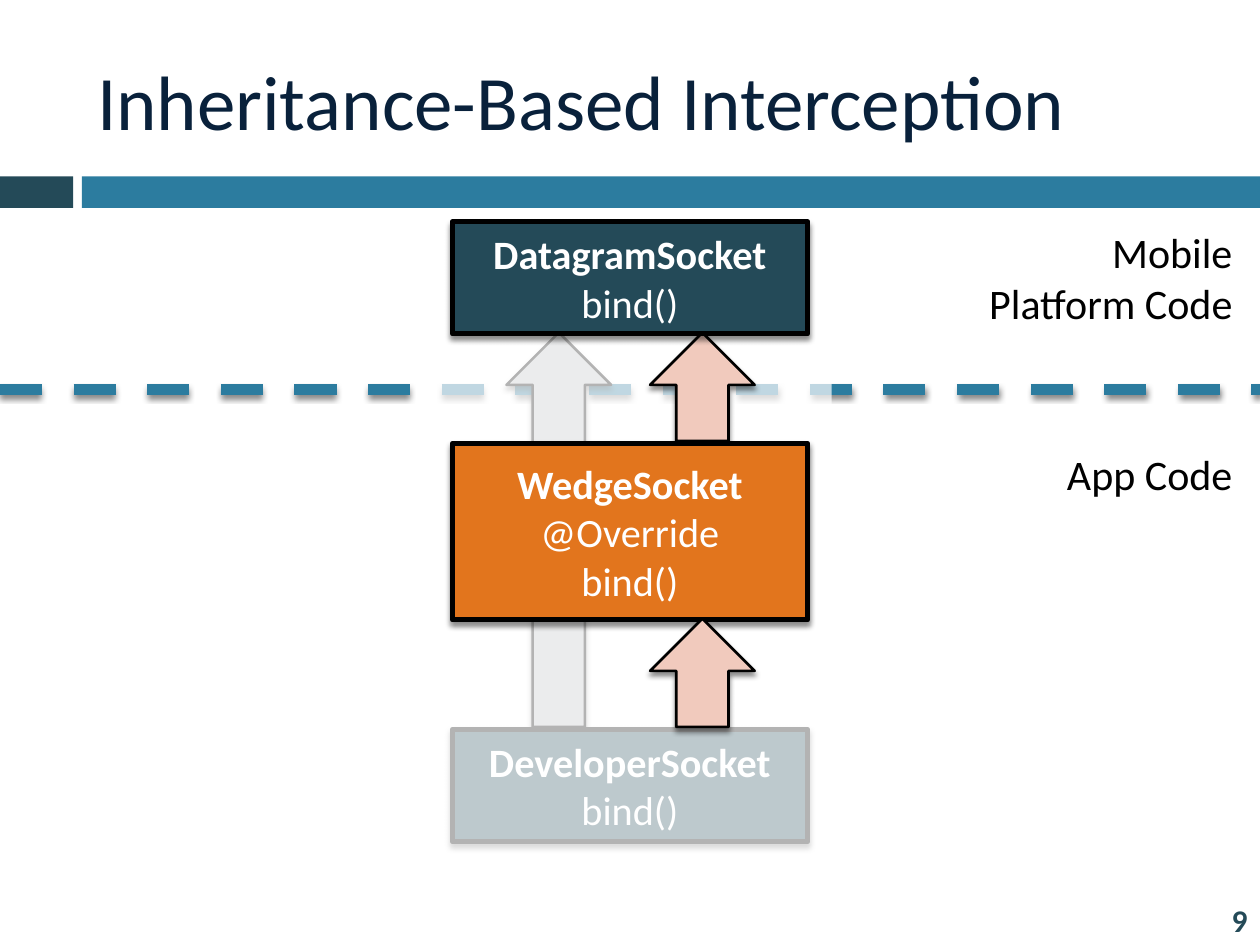
from lxml import etree
from pptx import Presentation
from pptx import util as u
from pptx.dml.color import RGBColor
from pptx.enum import dml, shapes, text
from pptx.oxml.ns import qn

COLORS = {
    "navy": "09213B",
    "slate": "244A58",
    "blue": "2C7C9F",
    "orange": "E2751D",
    "pink": "F1CABD",
    "gray": "BEC1C4",
    "white": "FFFFFF",
    "black": "000000",
}
FONT = "Calibri"
BOX_LEFT, BOX_WIDTH = 3.59, 2.82
ARROW_WIDTH = 0.83


def rgb(name):
    return RGBColor.from_string(COLORS[name])


def place(shape, left, top, width, height):
    shape.left, shape.top = u.Inches(left), u.Inches(top)
    shape.width, shape.height = u.Inches(width), u.Inches(height)


def add_alpha(color_element, percent):
    etree.SubElement(color_element, qn("a:alpha"), val=str(percent * 1000))


def add_shadow(shape):
    """Give a shape or connector a soft shadow; call it after the line is set."""
    effects = etree.SubElement(shape.element.spPr, qn("a:effectLst"))
    shadow = etree.SubElement(
        effects, qn("a:outerShdw"), blurRad=str(u.Pt(3)), dist=str(u.Pt(2.4)),
        dir="5400000", rotWithShape="0")
    color = etree.SubElement(shadow, qn("a:srgbClr"), val=COLORS["black"])
    add_alpha(color, 45)


def write(shape, lines, size=24, color="black", bold=False, bold_first=False,
          align=text.PP_ALIGN.LEFT, anchor=text.MSO_ANCHOR.TOP, wrap=True,
          auto_size=text.MSO_AUTO_SIZE.NONE):
    """Write one paragraph per line, with one format for all of them."""
    frame = shape.text_frame
    frame.auto_size = auto_size
    frame.word_wrap = wrap
    frame.vertical_anchor = anchor
    for index, line in enumerate(lines):
        para = frame.paragraphs[0] if index == 0 else frame.add_paragraph()
        para.alignment = align
        span = para.add_run()
        span.text = line
        span.font.name = FONT
        span.font.size = u.Pt(size)
        span.font.bold = bold or (bold_first and index == 0)
        span.font.color.rgb = rgb(color)


def add_block(page, kind, left, top, width, height, fill, line=None):
    """Add a filled shape; one with an outline (in points) also has a shadow."""
    block = page.shapes.add_shape(
        kind, *map(u.Inches, (left, top, width, height)))
    block.fill.solid()
    block.fill.fore_color.rgb = rgb(fill)
    if line is None:
        block.line.fill.background()
        block.shadow.inherit = False
    else:
        block.line.color.rgb = rgb("black")
        block.line.width = u.Pt(line)
        add_shadow(block)
    return block


def add_bar(page, left, width):
    color = "blue" if left else "slate"
    add_block(page, shapes.MSO_SHAPE.RECTANGLE, left, 1.4, width, 0.25, color)


def add_class_box(page, top, height, fill, lines):
    box = add_block(page, shapes.MSO_SHAPE.RECTANGLE, BOX_LEFT, top,
                    BOX_WIDTH, height, fill, line=3)
    write(box, lines, size=23, color="white", bold_first=True,
          align=text.PP_ALIGN.CENTER, anchor=text.MSO_ANCHOR.MIDDLE)


def add_up_arrow(page, left, top, height, fill):
    add_block(page, shapes.MSO_SHAPE.UP_ARROW, left, top, ARROW_WIDTH, height,
              fill, line=1.5)


def add_boundary(page):
    line = page.shapes.add_connector(
        shapes.MSO_CONNECTOR.STRAIGHT,
        *map(u.Inches, (0, 3.09, 10, 3.09)))
    line.line.color.rgb = rgb("blue")
    line.line.width = u.Pt(6)
    line.line.dash_style = dml.MSO_LINE.DASH
    add_shadow(line)


def add_veil(page):
    """Fade the direct inheritance path with a translucent white panel."""
    veil = add_block(page, shapes.MSO_SHAPE.RECTANGLE, 3.39, 2.64, 3.21, 4.74,
                     "white")
    add_alpha(veil.element.spPr.find(".//" + qn("a:srgbClr")), 70)


def add_label(page, left, top, width, height, lines, **style):
    label = page.shapes.add_textbox(
        *map(u.Inches, (left, top, width, height)))
    write(label, lines, align=text.PP_ALIGN.RIGHT, **style)


def main():
    deck = Presentation()
    deck.slide_width, deck.slide_height = u.Inches(10), u.Inches(7.5)
    page = deck.slides.add_slide(deck.slide_layouts[5])

    title = page.shapes.title
    place(title, 0.67, 0.25, 8.92, 1.08)
    write(title, ["Inheritance-Based Interception"], size=44, color="navy",
          anchor=text.MSO_ANCHOR.MIDDLE)

    add_bar(page, 0, 0.58)
    add_bar(page, 0.65, 9.35)
    add_boundary(page)

    add_up_arrow(page, 4.02, 2.64, 3.13, "gray")
    add_class_box(page, 5.79, 0.89, "slate", ["DeveloperSocket", "bind()"])
    add_veil(page)

    add_up_arrow(page, 5.16, 2.64, 0.86, "pink")
    add_class_box(page, 3.52, 1.4, "orange",
                  ["WedgeSocket", "@Override", "bind()"])
    add_class_box(page, 1.76, 0.89, "slate", ["DatagramSocket", "bind()"])
    add_up_arrow(page, 5.16, 4.91, 0.86, "pink")

    fit = {"wrap": False, "auto_size": text.MSO_AUTO_SIZE.SHAPE_TO_FIT_TEXT}
    add_label(page, 7.72, 1.75, 2.16, 0.91, ["Mobile", "Platform Code"], **fit)
    add_label(page, 8.28, 3.51, 1.6, 0.5, ["App Code"], **fit)
    add_label(page, 9.42, 7.03, 0.58, 0.47, ["9"], size=18, color="slate",
              bold=True, anchor=text.MSO_ANCHOR.BOTTOM)

    deck.save("out.pptx")


if __name__ == "__main__":
    main()
